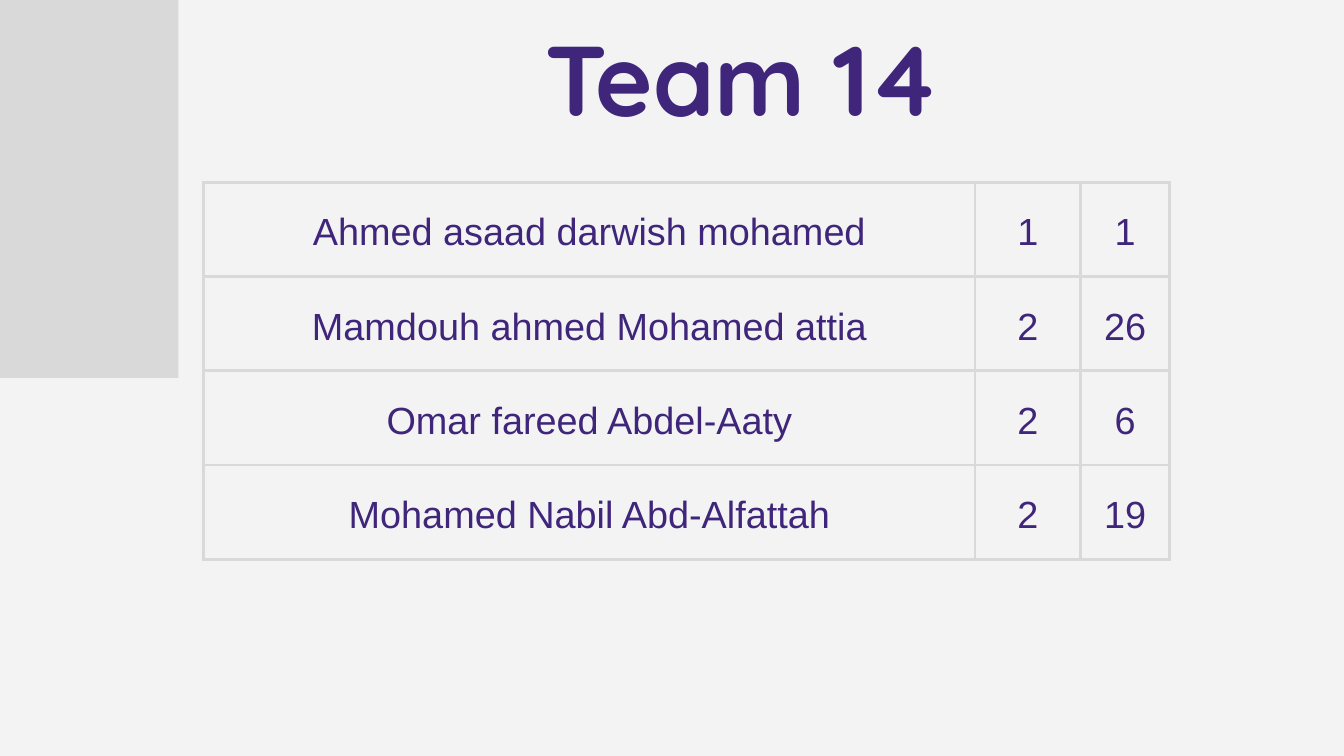
from dataclasses import dataclass

import lxml.etree
import pptx
import pptx.dml.color
import pptx.enum.shapes
import pptx.enum.text
import pptx.oxml.ns
import pptx.util

WIDE = pptx.util.Inches(13.33)
HIGH = pptx.util.Inches(7.5)
CENTER = pptx.enum.text.PP_ALIGN.CENTER


@dataclass(frozen=True)
class Theme:
    back: str = "F3F3F3"
    gray: str = "D9D9D9"
    ink: str = "3F267B"
    head: str = "Quicksand"
    body: str = "Arial"
    big: float = 70.7
    small: float = 27
    rule: float = 2.25


@dataclass(frozen=True)
class Box:
    """A frame in shares of the slide's width and height."""
    left: float
    top: float
    width: float
    height: float

    def frame(self) -> tuple[int, int, int, int]:
        return (int(self.left * WIDE), int(self.top * HIGH),
                int(self.width * WIDE), int(self.height * HIGH))


@dataclass(frozen=True)
class Member:
    name: str
    group: int
    number: int

    def texts(self) -> tuple[str, str, str]:
        return self.name, str(self.group), str(self.number)


THEME = Theme()
BLOCK = Box(0, 0, 1.77 / 13.33, 0.5)
TITLE = Box(2.43 / 13.33, 0.04, 9.87 / 13.33, 1.18 / 7.5)
ROSTER = Box(2.02 / 13.33, 1.81 / 7.5, 9.58 / 13.33, 3.74 / 7.5)
COLUMNS = (7.65, 1.05, 0.88)
TEAM = (
    Member("Ahmed asaad darwish mohamed", 1, 1),
    Member("Mamdouh ahmed Mohamed attia", 2, 26),
    Member("Omar fareed Abdel-Aaty", 2, 6),
    Member("Mohamed Nabil Abd-Alfattah", 2, 19),
)


def color(code: str) -> pptx.dml.color.RGBColor:
    return pptx.dml.color.RGBColor.from_string(code)


def write(frame, text: str, font: str, size: float, bold: bool = False) -> None:
    frame.text = text
    line = frame.paragraphs[0]
    line.alignment = CENTER
    face = line.runs[0].font
    face.name, face.size, face.bold = font, pptx.util.Pt(size), bold
    face.color.rgb = color(THEME.ink)


def border(cell) -> None:
    """Rule all four sides; the lines must come before the cell's fill."""
    props = cell._tc.get_or_add_tcPr()
    for place, side in enumerate(("a:lnL", "a:lnR", "a:lnT", "a:lnB")):
        line = lxml.etree.Element(pptx.oxml.ns.qn(side),
                                  w=str(int(pptx.util.Pt(THEME.rule))))
        fill = lxml.etree.SubElement(line, pptx.oxml.ns.qn("a:solidFill"))
        lxml.etree.SubElement(fill, pptx.oxml.ns.qn("a:srgbClr"), val=THEME.gray)
        props.insert(place, line)


def add_block(slide) -> None:
    block = slide.shapes.add_shape(
        pptx.enum.shapes.MSO_SHAPE.RECTANGLE, *BLOCK.frame())
    block.shadow.inherit = False
    block.fill.solid()
    block.fill.fore_color.rgb = color(THEME.gray)
    block.line.fill.background()


def set_title(slide, text: str) -> None:
    title = slide.shapes.title
    title.left, title.top, title.width, title.height = TITLE.frame()
    frame = title.text_frame
    frame.auto_size = pptx.enum.text.MSO_AUTO_SIZE.NONE
    frame.word_wrap = True
    frame.vertical_anchor = pptx.enum.text.MSO_ANCHOR.BOTTOM
    inset = pptx.util.Inches(0.13)
    frame.margin_left = frame.margin_right = inset
    frame.margin_top = frame.margin_bottom = inset
    write(frame, text, THEME.head, THEME.big, bold=True)


def fill_cell(cell, text: str) -> None:
    cell.fill.background()
    border(cell)
    cell.vertical_anchor = pptx.enum.text.MSO_ANCHOR.MIDDLE
    cell.margin_left = cell.margin_right = pptx.util.Inches(0.04)
    cell.margin_top = cell.margin_bottom = pptx.util.Inches(0.03)
    write(cell.text_frame, text, THEME.body, THEME.small)
    cell.text_frame.paragraphs[0].line_spacing = 1.15


def add_roster(slide, team: tuple[Member, ...]) -> None:
    table = slide.shapes.add_table(
        len(team), len(COLUMNS), *ROSTER.frame()).table
    table.first_row = table.horz_banding = False
    for column, width in zip(table.columns, COLUMNS):
        column.width = pptx.util.Inches(width)
    for row, member in zip(table.rows, team):
        for cell, text in zip(row.cells, member.texts()):
            fill_cell(cell, text)


def main() -> None:
    deck = pptx.Presentation()
    deck.slide_width, deck.slide_height = WIDE, HIGH
    slide = deck.slides.add_slide(deck.slide_layouts.get_by_name("Title Only"))
    slide.background.fill.solid()
    slide.background.fill.fore_color.rgb = color(THEME.back)
    add_block(slide)
    add_roster(slide, TEAM)
    set_title(slide, "Team 14")
    deck.save("out.pptx")


if __name__ == "__main__":
    main()
